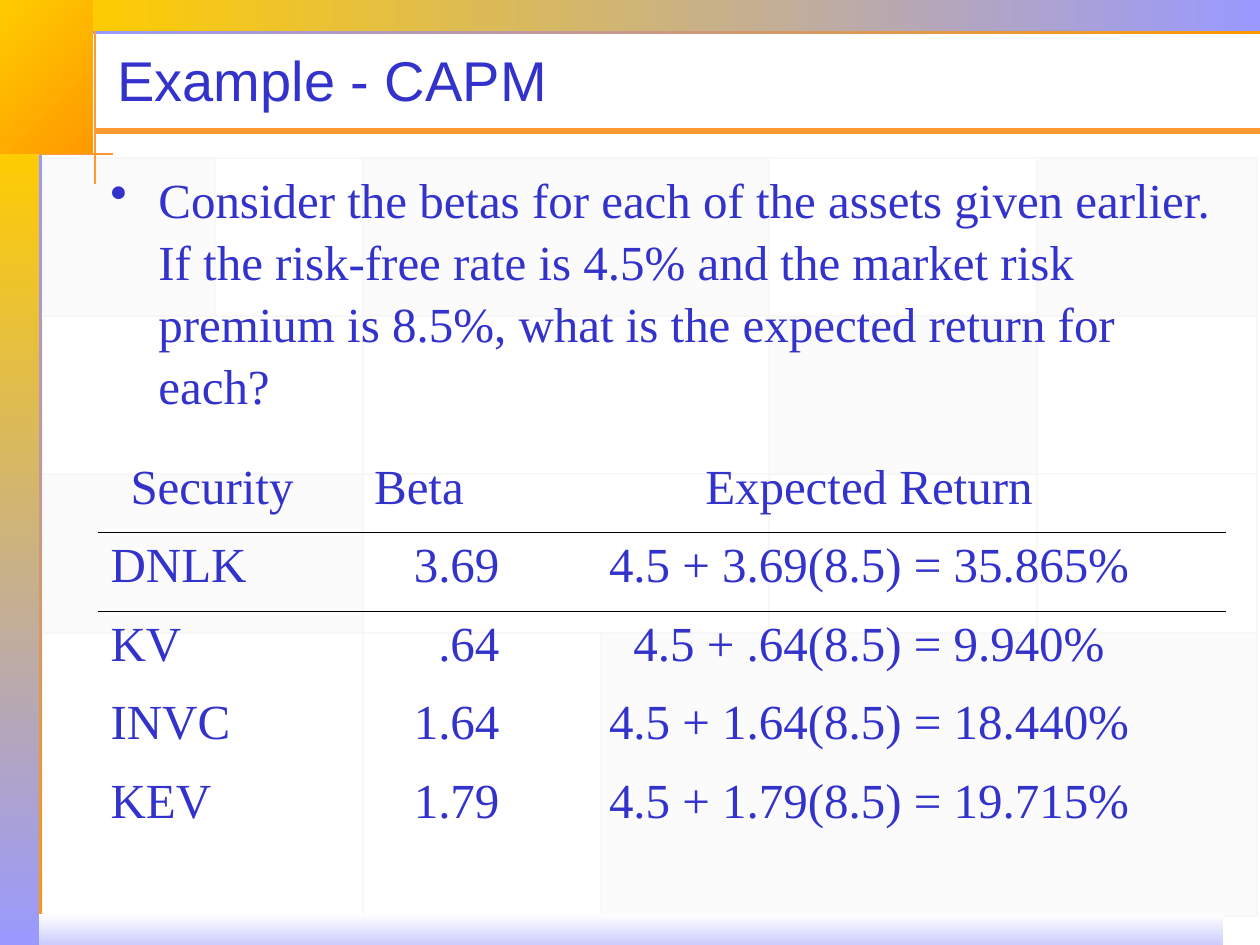
from itertools import pairwise

from lxml.etree import SubElement
from pptx import Presentation
from pptx.dml.color import RGBColor
from pptx.enum.shapes import MSO_CONNECTOR, MSO_SHAPE
from pptx.enum.text import MSO_ANCHOR, PP_ALIGN
from pptx.oxml.ns import qn
from pptx.util import Pt

PX = 914400 / 126
BLUE = RGBColor(0x33, 0x33, 0xCC)
WHITE = RGBColor(0xFF, 0xFF, 0xFF)
SHADE = RGBColor(0xF8, 0xF8, 0xF8)
EDGE = RGBColor(0xF7, 0xF7, 0xF7)
RULE = RGBColor(0xFF, 0x99, 0x33)
GOLD = RGBColor(0xFF, 0xCC, 0x00)
AMBER = RGBColor(0xFF, 0x99, 0x00)
LILAC = RGBColor(0x99, 0x99, 0xFF)
PALE = RGBColor(0xCC, 0xCC, 0xFF)
ACROSS, DOWN, SLANT = 0, 270, 315
NO_STYLE = "{2D5ABB26-0587-4C30-8999-92F81FD0307C}"

TILES = [
    ((0, 173, 321, 727, 995), "10101"),
    ((0, 321, 727, 995), "0010"),
    ((0, 321, 727, 995), "1000"),
    ((0, 321, 559), "001"),
]
QUESTION = (
    "Consider the betas for each of the assets given earlier. "
    "If the risk-free rate is 4.5% and the market risk premium is 8.5%, "
    "what is the expected return for each?"
)
ROWS = [
    ("Security", "Beta", "Expected Return"),
    ("DNLK", "3.69", "4.5 + 3.69(8.5) = 35.865%"),
    ("KV", ".64", "4.5 + .64(8.5) = 9.940%"),
    ("INVC", "1.64", "4.5 + 1.64(8.5) = 18.440%"),
    ("KEV", "1.79", "4.5 + 1.79(8.5) = 19.715%"),
]


def emu(*sizes):
    """Turn px lengths into EMU."""
    return [round(size * PX) for size in sizes]


def add_rect(slide, *box):
    """Add a rectangle without shadow or line."""
    shape = slide.shapes.add_shape(MSO_SHAPE.RECTANGLE, *emu(*box))
    shape.shadow.inherit = False
    shape.line.fill.background()
    return shape


def add_bar(slide, box, start, end, angle):
    """Add a rectangle that blends two colours."""
    fill = add_rect(slide, *box).fill
    fill.gradient()
    fill.gradient_angle = angle
    for stop, color in zip(fill.gradient_stops, (start, end)):
        stop.color.rgb = color


def add_rule(slide, ends, weight):
    """Add a straight orange line."""
    line = slide.shapes.add_connector(MSO_CONNECTOR.STRAIGHT, *emu(*ends))
    line.line.color.rgb = RULE
    line.line.width = Pt(weight)
    SubElement(line._element.spPr, qn("a:effectLst"))


def add_tiles(slide, x, y, w, h):
    """Lay the faint tiles, some of them shaded."""
    tops = (0, 158, 316, 475, h)
    for (top, base), (cuts, marks) in zip(pairwise(tops), TILES):
        for (left, right), mark in zip(pairwise((*cuts, w)), marks):
            tile = add_rect(slide, x + left, y + top, right - left, base - top)
            tile.fill.solid()
            tile.fill.fore_color.rgb = SHADE if mark == "1" else WHITE
            tile.line.color.rgb = EDGE
            tile.line.width = Pt(0.75)
            if mark == "1":
                color = tile._element.spPr.find(qn("a:solidFill"))[0]
                SubElement(color, qn("a:alpha"), val="50000")


def add_frame(slide, x, y, w, h):
    """Draw the bars, lines and corner along the edges."""
    add_bar(slide, (x + 84, y + 3, w - 84, 31), LILAC, AMBER, ACROSS)
    add_bar(slide, (x + 3, y + 147, 39, h - 147), LILAC, AMBER, DOWN)
    add_rule(slide, (x + 95, y + 131, x + w, y + 131), 3)
    add_rule(slide, (x + 95, y + 29, x + 95, y + 184), 0.75)
    add_rule(slide, (x + 113, y + 154, x + 40, y + 154), 0.75)
    add_bar(slide, (x, y + h - 31, w - 37, 31), WHITE, PALE, DOWN)
    add_bar(slide, (x, y + 147, 39, h - 147), GOLD, LILAC, DOWN)
    add_bar(slide, (x + 84, y, w - 84, 31), GOLD, LILAC, ACROSS)
    add_bar(slide, (x, y, 93, 154), GOLD, AMBER, SLANT)


def set_font(para, name, size):
    """Set the blue font of a paragraph."""
    para.font.name = name
    para.font.size = Pt(size)
    para.font.color.rgb = BLUE


def add_text(slide, *box):
    """Add an empty text box that wraps."""
    frame = slide.shapes.add_textbox(*emu(*box)).text_frame
    frame.word_wrap = True
    return frame


def add_title(slide, x, y, w, h):
    """Write the title."""
    frame = add_text(slide, x, y, w, h)
    frame.vertical_anchor = MSO_ANCHOR.MIDDLE
    para = frame.paragraphs[0]
    para.text = "Example - CAPM"
    set_font(para, "Arial", 32)


def add_body(slide, x, y, w, h):
    """Write the question as a bullet."""
    frame = add_text(slide, x, y, w, h)
    frame.margin_top = emu(9)[0]
    para = frame.paragraphs[0]
    para.text = QUESTION
    para.line_spacing = 1.05
    props = para._p.get_or_add_pPr()
    indent = emu(48)[0]
    props.set("marL", str(indent))
    props.set("indent", str(-indent))
    SubElement(props, qn("a:buChar"), char="•")
    set_font(para, "Times New Roman", 28)


def add_border(cell, side):
    """Draw a thin black line on one side of a cell."""
    line = SubElement(cell._tc.get_or_add_tcPr(), qn(side), w="5715")
    fill = SubElement(line, qn("a:solidFill"))
    SubElement(fill, qn("a:srgbClr"), val="000000")


def add_returns(slide, x, y, w, h):
    """Fill the table of expected returns."""
    table = slide.shapes.add_table(len(ROWS), 3, *emu(x, y, w, h)).table
    table.first_row = table.horz_banding = False
    table._tbl.tblPr.find(qn("a:tableStyleId")).text = NO_STYLE
    for column, width in zip(table.columns, emu(228, 186, w - 414)):
        column.width = width
    aligns = (PP_ALIGN.LEFT, PP_ALIGN.RIGHT, PP_ALIGN.CENTER)
    for r, row in enumerate(ROWS):
        for c, text in enumerate(row):
            cell = table.cell(r, c)
            if r < 2:
                add_border(cell, "a:lnT" if r else "a:lnB")
            cell.fill.background()
            para = cell.text_frame.paragraphs[0]
            para.text = text
            para.alignment = aligns[c] if r else PP_ALIGN.CENTER
            set_font(para, "Times New Roman", 28)


def main():
    """Build the slide and save it."""
    deck = Presentation()
    deck.slide_width, deck.slide_height = emu(1260, 945)
    slide = deck.slides.add_slide(deck.slide_layouts[6])
    add_tiles(slide, 42, 158, 1215, 758)
    add_frame(slide, 0, 0, 1260, 945)
    add_title(slide, 105, 37, 1155, 84)
    add_body(slide, 98, 158, 1128, 272)
    add_returns(slide, 98, 454, 1128, 393)
    deck.save("out.pptx")


if __name__ == "__main__":
    main()
